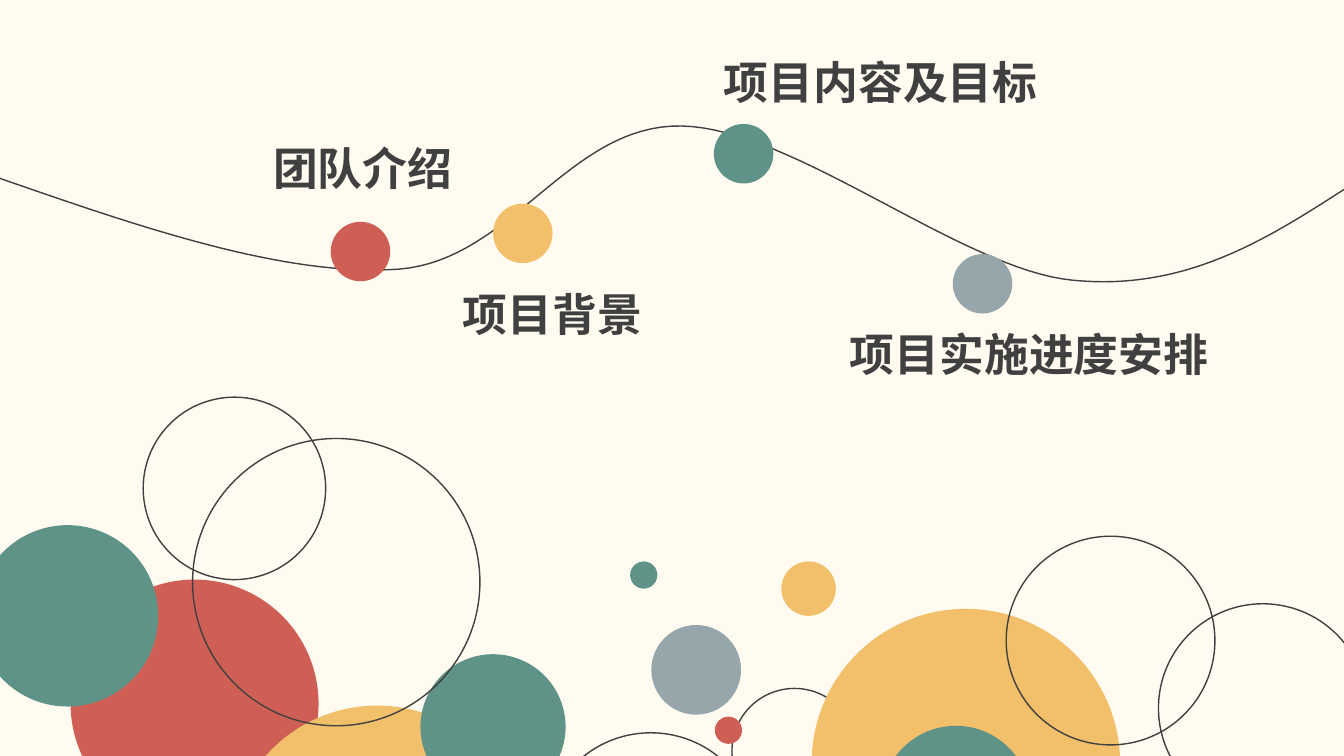
from dataclasses import dataclass

from lxml.etree import SubElement
from pptx import Presentation
from pptx.dml.color import RGBColor
from pptx.enum.shapes import MSO_SHAPE
from pptx.enum.text import MSO_ANCHOR
from pptx.oxml.ns import qn
from pptx.util import Inches, Pt


@dataclass(frozen=True)
class Theme:
    cream: str = "FFFBF0"
    ink: str = "404040"
    red: str = "CF5F55"
    yellow: str = "F2C06B"
    green: str = "5F9387"
    grey: str = "97A6AB"
    font: str = "Noto Sans CJK SC"
    title_size: int = 32
    line_width: int = 1


T = Theme()


def style(s, fill=None):
    """Fill a shape with a colour, or leave it as a thin outline."""
    s.shadow.inherit = False
    if fill:
        s.fill.solid()
        s.fill.fore_color.rgb = RGBColor.from_string(fill)
        s.line.fill.background()
    else:
        s.fill.background()
        s.line.color.rgb = RGBColor.from_string(T.ink)
        s.line.width = Pt(T.line_width)


def add_circle(slide, x, y, size, fill=None):
    s = slide.shapes.add_shape(MSO_SHAPE.OVAL, Inches(x), Inches(y),
                               Inches(size), Inches(size))
    style(s, fill)


def add_label(slide, x, y, w, text):
    s = slide.shapes.add_textbox(Inches(x), Inches(y), Inches(w), Inches(0.64))
    tf = s.text_frame
    tf.word_wrap = True
    tf.vertical_anchor = MSO_ANCHOR.MIDDLE
    tf.margin_top = tf.margin_bottom = 0
    p = tf.paragraphs[0]
    p.text = text
    font = p.font
    font.size, font.bold, font.name = Pt(T.title_size), True, T.font
    font.color.rgb = RGBColor.from_string(T.ink)
    # East Asian typeface for the Chinese wording
    defaults = p._p.pPr.find(qn("a:defRPr"))
    SubElement(defaults, qn("a:ea")).set("typeface", T.font)


def add_curve(slide, x, y, start, segments, steps=32):
    """Trace cubic Bézier segments, each given as two handles and an end."""
    points = []
    a = start
    for b, c, d in segments:
        for i in range(1, steps + 1):
            t = i / steps
            u = 1 - t
            weights = (u ** 3, 3 * u * u * t, 3 * u * t * t, t ** 3)
            points.append(tuple(
                Inches(offset + sum(k * v for k, v in zip(weights, values)))
                for offset, values in zip((x, y), zip(a, b, c, d))))
        a = d
    builder = slide.shapes.build_freeform(Inches(x + start[0]), Inches(y + start[1]))
    builder.add_line_segments(points, close=False)
    style(builder.convert_to_shape())


def add_bubbles(slide, x, y):
    """Decorative circles, placed from the region's top left corner."""
    bubbles = [  # left, top, diameter, fill
        (0.7, 1.81, 2.46, T.red),
        (2.27, 3.06, 2.94, T.yellow),
        (4.17, 2.55, 1.44, T.green),
        (5.39, 3.33, 2.13, None),
        (1.91, 0.41, 2.85, None),
        (-0.23, 1.27, 1.8, T.green),
        (7.26, 2.89, 1.24, None),
        (8.05, 2.1, 3.06, T.yellow),
        (8.74, 3.26, 1.48, T.green),
        (9.98, 1.38, 2.07, None),
        (11.49, 2.05, 2.07, None),
        (6.46, 2.26, 0.89, T.grey),
        (7.09, 3.17, 0.27, T.red),
        (6.25, 1.63, 0.27, T.green),
        (7.75, 1.63, 0.54, T.yellow),
        (1.42, 0, 1.81, None),
    ]
    for left, top, size, fill in bubbles:
        add_circle(slide, x + left, y + top, size, fill)


def add_roadmap(slide, x, y):
    """Wavy line with a dot and a label for each chapter."""
    add_curve(slide, x, y, (0, 1.28), [
        ((1.41, 1.77), (2.83, 2.26), (3.96, 2.18)),
        ((5.08, 2.09), (5.64, 0.74), (6.76, 0.76)),
        ((7.87, 0.78), (9.55, 2.19), (10.64, 2.29)),
        ((11.74, 2.4), (12.54, 1.9), (13.33, 1.39)),
    ])
    chapters = [  # dot left and top, fill, label left, top and width, text
        (3.28, 1.71, T.red, 2.61, 0.85, 3.11, "团队介绍"),
        (4.89, 1.53, T.yellow, 4.49, 2.3, 3.11, "项目背景"),
        (7.08, 0.74, T.green, 7.08, 0, 3.82, "项目内容及目标"),
        (9.45, 2.03, T.grey, 8.33, 2.7, 4.05, "项目实施进度安排"),
    ]
    for dot_x, dot_y, fill, label_x, label_y, w, text in chapters:
        add_circle(slide, x + dot_x, y + dot_y, 0.59, fill)
        add_label(slide, x + label_x, y + label_y, w, text)


def main():
    prs = Presentation()
    prs.slide_width, prs.slide_height = Inches(13.33), Inches(7.5)
    slide = prs.slides.add_slide(prs.slide_layouts[6])
    slide.background.fill.solid()
    slide.background.fill.fore_color.rgb = RGBColor.from_string(T.cream)
    add_bubbles(slide, 0, 3.94)
    add_roadmap(slide, 0, 0.49)
    prs.save("out.pptx")


if __name__ == "__main__":
    main()
